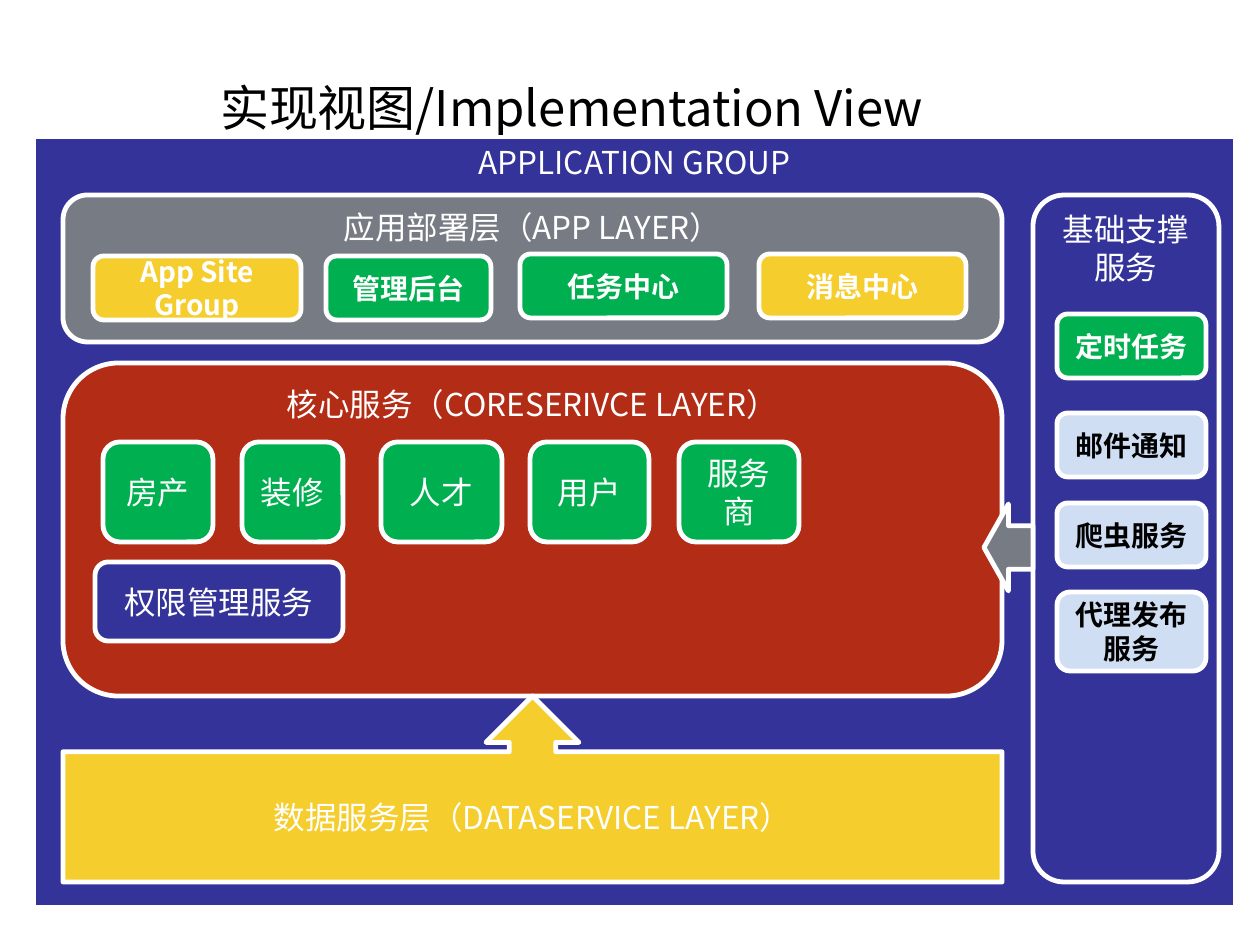
from pptx import Presentation
from pptx.dml.color import RGBColor
from pptx.enum.shapes import MSO_SHAPE
from pptx.enum.text import MSO_ANCHOR, MSO_AUTO_SIZE, PP_ALIGN
from pptx.util import Emu, Pt

RECT = MSO_SHAPE.RECTANGLE
ROUNDED = MSO_SHAPE.ROUNDED_RECTANGLE
CALLOUT = MSO_SHAPE.UP_ARROW_CALLOUT
LEFT_ARROW = MSO_SHAPE.LEFT_ARROW
TOP, MIDDLE, BOTTOM = MSO_ANCHOR.TOP, MSO_ANCHOR.MIDDLE, MSO_ANCHOR.BOTTOM
CENTER = PP_ALIGN.CENTER
NO_AUTOFIT = MSO_AUTO_SIZE.NONE
TITLE_ONLY = 5

PX_PER_INCH = 126
FONT = "Noto Sans CJK SC"
COLORS = {
    "navy": "333399", "gray": "777C84", "red": "B32C16", "yellow": "F5CD2D",
    "green": "00B050", "pale": "CFDEF3", "white": "FFFFFF", "black": "000000",
}


def px(length):
    return Emu(round(length * 914400 / PX_PER_INCH))


def rgb(name):
    return RGBColor.from_string(COLORS[name])


def set_text(frame, text, size, color, anchor, bold=False):
    frame.text = text
    frame.word_wrap = True
    frame.vertical_anchor = anchor
    paragraph = frame.paragraphs[0]
    paragraph.alignment = CENTER
    for run in paragraph.runs:
        run.font.name = FONT
        run.font.size = Pt(size)
        run.font.bold = bold
        run.font.color.rgb = rgb(color)


def add_block(slide, preset, box, fill, text="", size=18, color="white",
              anchor=MIDDLE, bold=False):
    block = slide.shapes.add_shape(preset, *map(px, box))
    block.shadow.inherit = False
    block.fill.solid()
    block.fill.fore_color.rgb = rgb(fill)
    block.line.color.rgb = rgb("white")
    block.line.width = Pt(2.75)
    if text:
        set_text(block.text_frame, text, size, color, anchor, bold)
    return block


def add_title(slide, box):
    title = slide.shapes.title
    title.left, title.top, title.width, title.height = map(px, box)
    frame = title.text_frame
    set_text(frame, "实现视图/Implementation View", 28, "black", BOTTOM)
    frame.auto_size = NO_AUTOFIT
    frame.margin_left, frame.margin_right = px(13), px(25)
    frame.margin_bottom = px(59)


def add_app_layer(slide, box):
    left, top = box[:2]
    add_block(slide, ROUNDED, box, "gray", "应用部署层（APP LAYER）", anchor=TOP)
    # label, x, y, width, fill
    sites = [
        ("App Site Group", 30, 61, 208, "yellow"),
        ("管理后台", 263, 61, 165, "green"),
        ("任务中心", 457, 59, 207, "green"),
        ("消息中心", 696, 59, 207, "yellow"),
    ]
    for label, x, y, width, fill in sites:
        add_block(slide, ROUNDED, (left + x, top + y, width, 64), fill,
                  label, size=16, bold=True)


def add_core_layer(slide, box):
    left, top = box[:2]
    add_block(slide, ROUNDED, box, "red", "核心服务（CORESERIVCE LAYER）",
              anchor=TOP)
    # label, x, width
    services = [("房产", 40, 110), ("装修", 179, 101), ("人才", 318, 121),
                ("用户", 467, 119), ("服务商", 616, 120)]
    for label, x, width in services:
        add_block(slide, ROUNDED, (left + x, top + 79, width, 100), "green",
                  label)
    add_block(slide, ROUNDED, (left + 32, top + 199, 248, 79), "navy",
              "权限管理服务")


def add_data_layer(slide, box):
    callout = add_block(slide, CALLOUT, box, "yellow",
                        "数据服务层（DATASERVICE LAYER）")
    callout.adjustments[3] = 0.7


def add_support_column(slide, box):
    left, top = box[:2]
    add_block(slide, ROUNDED, box, "navy", "基础支撑服务", anchor=TOP)
    # Arrow towards the core services
    add_block(slide, LEFT_ARROW, (left - 49, top + 309, 49, 87), "gray")
    # label, y, height, fill, text colour
    services = [
        ("定时任务", 119, 64, "green", "white"),
        ("邮件通知", 218, 64, "pale", "black"),
        ("爬虫服务", 308, 64, "pale", "black"),
        ("代理发布服务", 397, 79, "pale", "black"),
    ]
    for label, y, height, fill, color in services:
        add_block(slide, ROUNDED, (left + 24, top + y, 149, height), fill,
                  label, size=16, color=color, bold=True)


def main():
    presentation = Presentation()
    presentation.slide_width, presentation.slide_height = px(1260), px(945)
    slide = presentation.slides.add_slide(
        presentation.slide_layouts[TITLE_ONLY])

    add_title(slide, (63, 38, 1029, 157))
    # Application group with its layers
    add_block(slide, RECT, (34, 137, 1201, 771), "navy", "APPLICATION GROUP",
              anchor=TOP)
    add_app_layer(slide, (63, 195, 939, 147))
    add_core_layer(slide, (63, 363, 939, 333))
    add_data_layer(slide, (63, 696, 939, 186))
    add_support_column(slide, (1033, 195, 186, 687))

    presentation.save("out.pptx")


if __name__ == "__main__":
    main()
